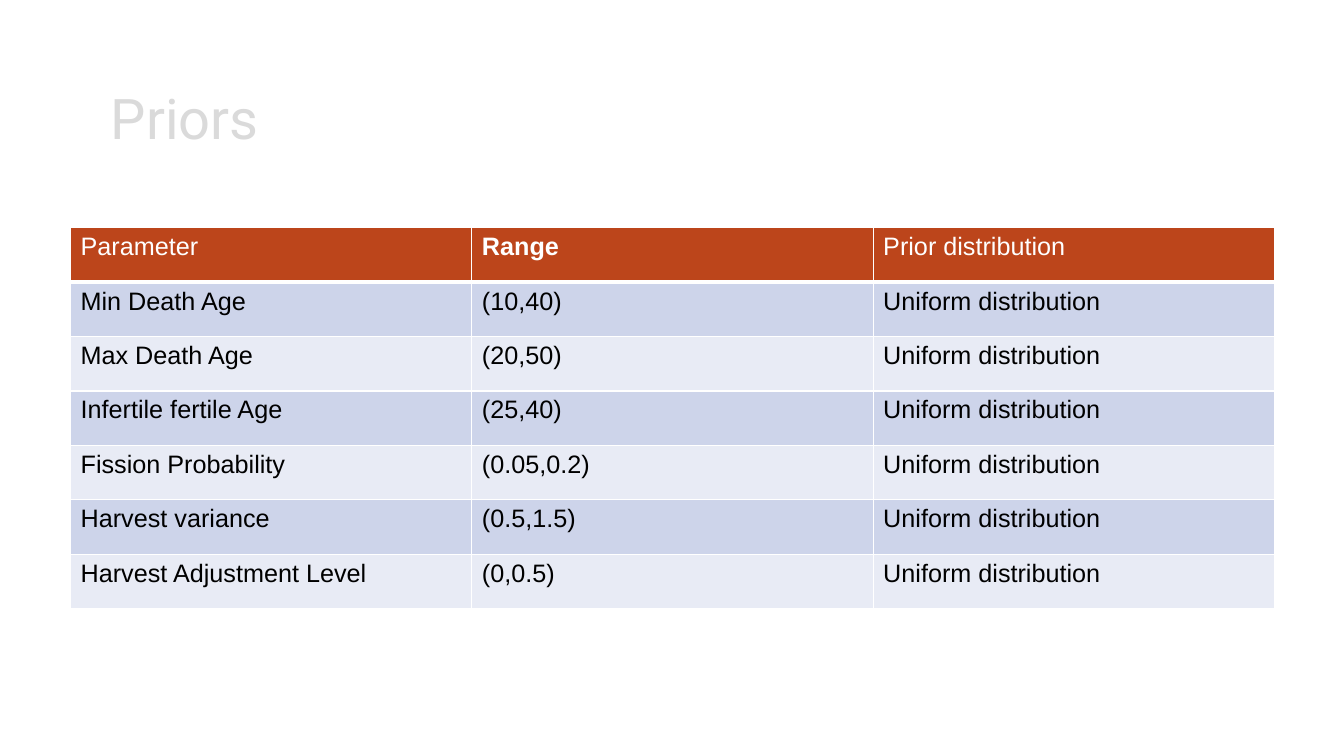
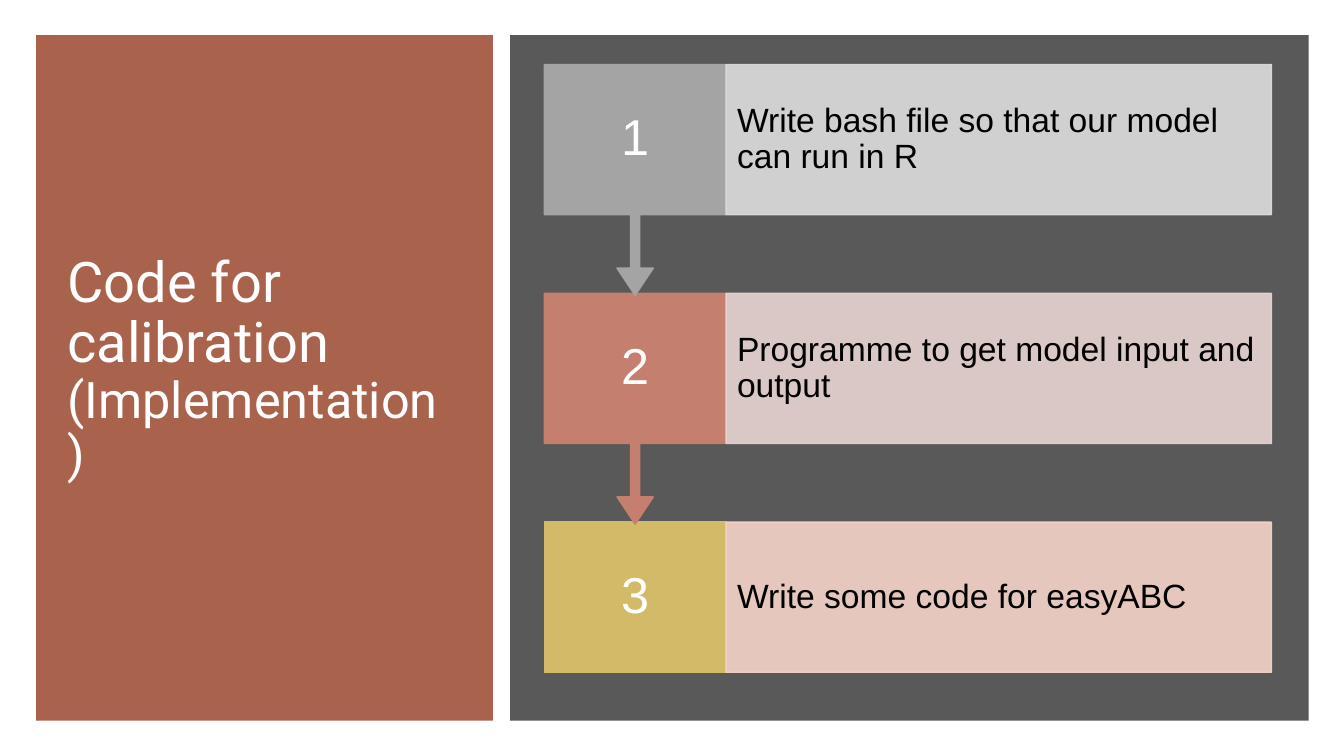
from lxml import etree
from pptx import Presentation
from pptx.dml.color import RGBColor
from pptx.enum.shapes import MSO_SHAPE
from pptx.enum.text import MSO_ANCHOR, MSO_AUTO_SIZE, PP_ALIGN
from pptx.oxml import parse_xml
from pptx.oxml.ns import qn
from pptx.util import Inches, Pt

RECT = MSO_SHAPE.RECTANGLE
CALLOUT = MSO_SHAPE.DOWN_ARROW_CALLOUT
MIDDLE = MSO_ANCHOR.MIDDLE
FIXED = MSO_AUTO_SIZE.NONE
LEFT, CENTER = PP_ALIGN.LEFT, PP_ALIGN.CENTER

WHITE = RGBColor(0xFF, 0xFF, 0xFF)
BLACK = RGBColor(0x00, 0x00, 0x00)
SILVER = RGBColor(0xDA, 0xDA, 0xDA)
RUST = RGBColor(0xBC, 0x45, 0x1B)
BAND_DARK = RGBColor(0xCD, 0xD4, 0xEA)
BAND_LIGHT = RGBColor(0xE8, 0xEB, 0xF5)
CLAY = RGBColor(0xA5, 0x5A, 0x43)
SLATE = RGBColor(0x59, 0x59, 0x59)
GRAY = RGBColor(0xA4, 0xA4, 0xA4)
PALE_GRAY = RGBColor(0xDF, 0xDF, 0xDF)
ROSE = RGBColor(0xC4, 0x7F, 0x6E)
PALE_ROSE = RGBColor(0xEB, 0xD6, 0xD4)
GOLD = RGBColor(0xD3, 0xBA, 0x68)
PEACH = RGBColor(0xF7, 0xD5, 0xCB)

TITLE_FONT, BODY_FONT = "Roboto", "Arial"
NS = "http://schemas.openxmlformats.org/drawingml/2006/main"
SHADOW = (
    f'<a:effectLst xmlns:a="{NS}">'
    '<a:outerShdw blurRad="38100" dist="38100" dir="2700000" algn="tl">'
    '<a:srgbClr val="000000"><a:alpha val="43000"/></a:srgbClr>'
    '</a:outerShdw></a:effectLst>'
)


class Deck:
    def __init__(self):
        self.prs = Presentation()
        self.prs.slide_width = Inches(13.33)
        self.prs.slide_height = Inches(7.5)
        self.slide = None

    def new(self):
        self.slide = self.prs.slides.add_slide(self.prs.slide_layouts[5])

    def add_text(self, para, text, size, color, font=BODY_FONT, bold=False):
        run = para.add_run()
        run.text = text
        style = run.font
        style.size, style.bold = Pt(size), bold
        style.color.rgb = color
        style.name = font
        return run

    def frame(self, frame, inset):
        side, edge = map(Inches, inset)
        frame.margin_left = frame.margin_right = side
        frame.margin_top = frame.margin_bottom = edge
        frame.vertical_anchor = MIDDLE
        frame.word_wrap = True
        frame.auto_size = FIXED

    def title(self, box, lines, color):
        title = self.slide.shapes.title
        title.left, title.top, title.width, title.height = map(Inches, box)
        self.slide.shapes.element.append(title.element)
        frame = title.text_frame
        self.frame(frame, (0.1, 0.05))
        for i, (text, size) in enumerate(lines):
            para = frame.add_paragraph() if i else frame.paragraphs[0]
            para.alignment, para.line_spacing = LEFT, 0.9
            run = self.add_text(para, text, size, color, TITLE_FONT)
            fill = next(para._p.iter(qn("a:solidFill")))
            fill.addnext(parse_xml(SHADOW))

    def shape(self, kind, box, color, alpha=100, line=True):
        shape = self.slide.shapes.add_shape(kind, *map(Inches, box))
        shape.shadow.inherit = False
        shape.fill.solid()
        shape.fill.fore_color.rgb = color
        if line:
            shape.line.color.rgb = color
            shape.line.width = Pt(1)
        else:
            shape.line.fill.background()
        if alpha < 100:
            for tone in shape.element.spPr.iter(qn("a:srgbClr")):
                etree.SubElement(tone, qn("a:alpha"), val=str(alpha * 1000))
        return shape

    def label(self, shape, text, size, color, align, inset):
        self.frame(shape.text_frame, inset)
        para = shape.text_frame.paragraphs[0]
        para.alignment, para.line_spacing = align, 0.9
        self.add_text(para, text, size, color)

    def step(self, top, num, text, color, pale, last):
        left, width, height = 5.4, 1.8, 1.49
        if last:
            box = self.shape(RECT, (left, top, width, height), color)
        else:
            box = self.shape(CALLOUT, (left, top, width, 2.29), color)
            for i, ratio in enumerate((0.05, 0.1, 0.15, 0.65)):
                box.adjustments[i] = ratio
        self.label(box, str(num), 36, WHITE, CENTER, (0.13, 0.28))
        side = self.shape(RECT, (left + width, top, 5.41, height), pale, 89)
        self.label(side, text, 24, BLACK, LEFT, (0.11, 0.33))

    def border(self, cell, side, width):
        line = etree.SubElement(
            cell._tc.get_or_add_tcPr(), qn(f"a:ln{side}"), w=str(Pt(width)))
        fill = etree.SubElement(line, qn("a:solidFill"))
        etree.SubElement(fill, qn("a:srgbClr"), val=str(WHITE))

    def cell(self, cell, text, row, bold):
        widths = {"L": 1, "R": 1, "T": 3 if row == 1 else 1,
                  "B": 3 if row == 0 else 1}
        for side, width in widths.items():
            self.border(cell, side, width)
        cell.fill.solid()
        band = BAND_DARK if row % 2 else BAND_LIGHT
        cell.fill.fore_color.rgb = band if row else RUST
        color = BLACK if row else WHITE
        self.add_text(
            cell.text_frame.paragraphs[0], text, 18, color, bold=bold)

    def table(self, left, top, col, high, rows):
        count = len(rows[0])
        size = (left, top, col * count, high * len(rows))
        table = self.slide.shapes.add_table(
            len(rows), count, *map(Inches, size)).table
        for column in table.columns:
            column.width = Inches(col)
        for r, row in enumerate(rows):
            table.rows[r].height = Inches(high)
            for c, text in enumerate(row):
                self.cell(table.cell(r, c), text, r, (r, c) == (0, 1))


def priors(deck):
    deck.new()
    deck.title((1, 0.67, 11.32, 1.06), [("Priors", 40)], SILVER)
    ranges = [
        ("Min Death Age", "(10,40)"),
        ("Max Death Age", "(20,50)"),
        ("Infertile fertile Age", "(25,40)"),
        ("Fission Probability", "(0.05,0.2)"),
        ("Harvest variance", "(0.5,1.5)"),
        ("Harvest Adjustment Level", "(0,0.5)"),
    ]
    rows = [("Parameter", "Range", "Prior distribution")]
    rows += [(name, span, "Uniform distribution") for name, span in ranges]
    deck.table(0.7, 2.26, 3.98, 0.54, rows)


def coding(deck):
    deck.new()
    deck.shape(RECT, (0.36, 0.35, 4.53, 6.8), CLAY, 95, line=False)
    deck.title((0.57, 0.64, 4.03, 6.04),
               [("Code for calibration", 40), ("(Implementation)", 36)], WHITE)
    deck.shape(RECT, (5.06, 0.35, 7.92, 6.8), SLATE, line=False)
    steps = [
        ("Write bash file so that our model can run in R", GRAY, PALE_GRAY),
        ("Programme to get model input and output", ROSE, PALE_ROSE),
        ("Write some code for easyABC", GOLD, PEACH),
    ]
    for i in reversed(range(len(steps))):
        deck.step(0.64 + 2.27 * i, i + 1, *steps[i], i == len(steps) - 1)


def main():
    deck = Deck()
    priors(deck)
    coding(deck)
    deck.prs.save("out.pptx")


if __name__ == "__main__":
    main()
